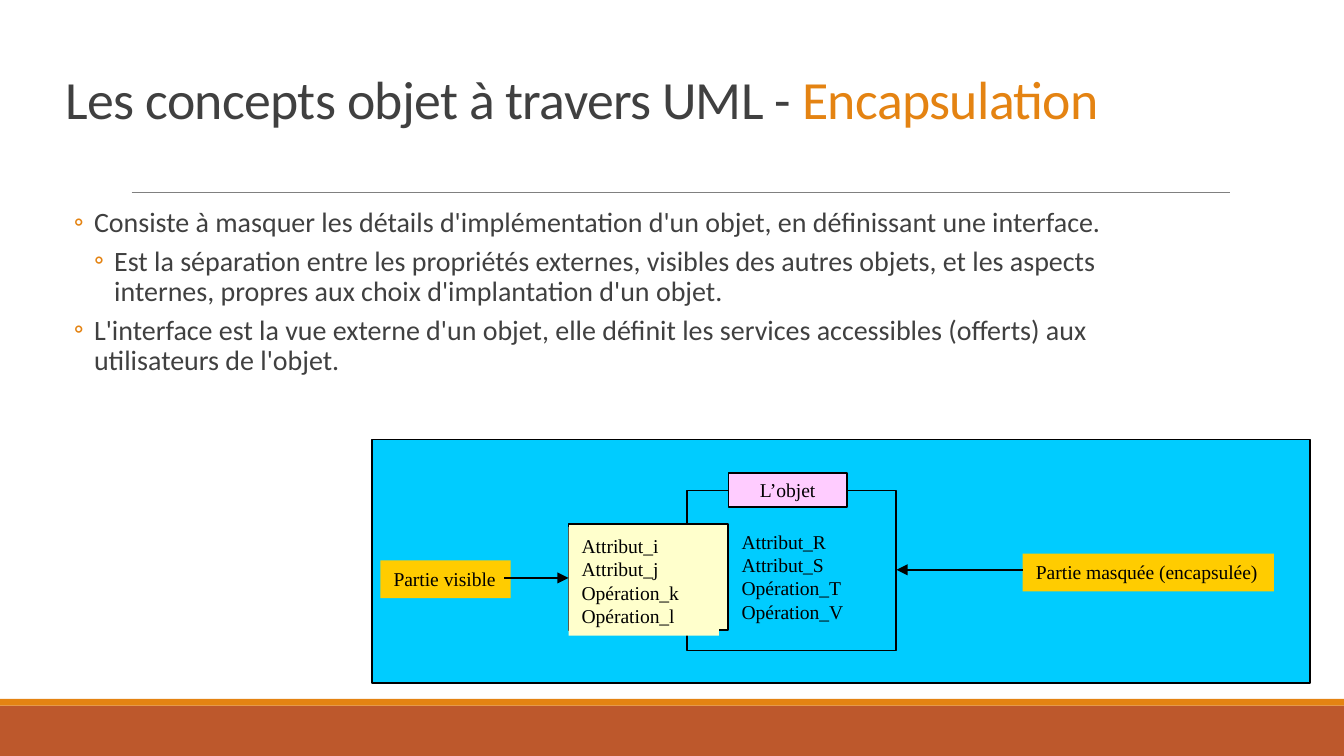
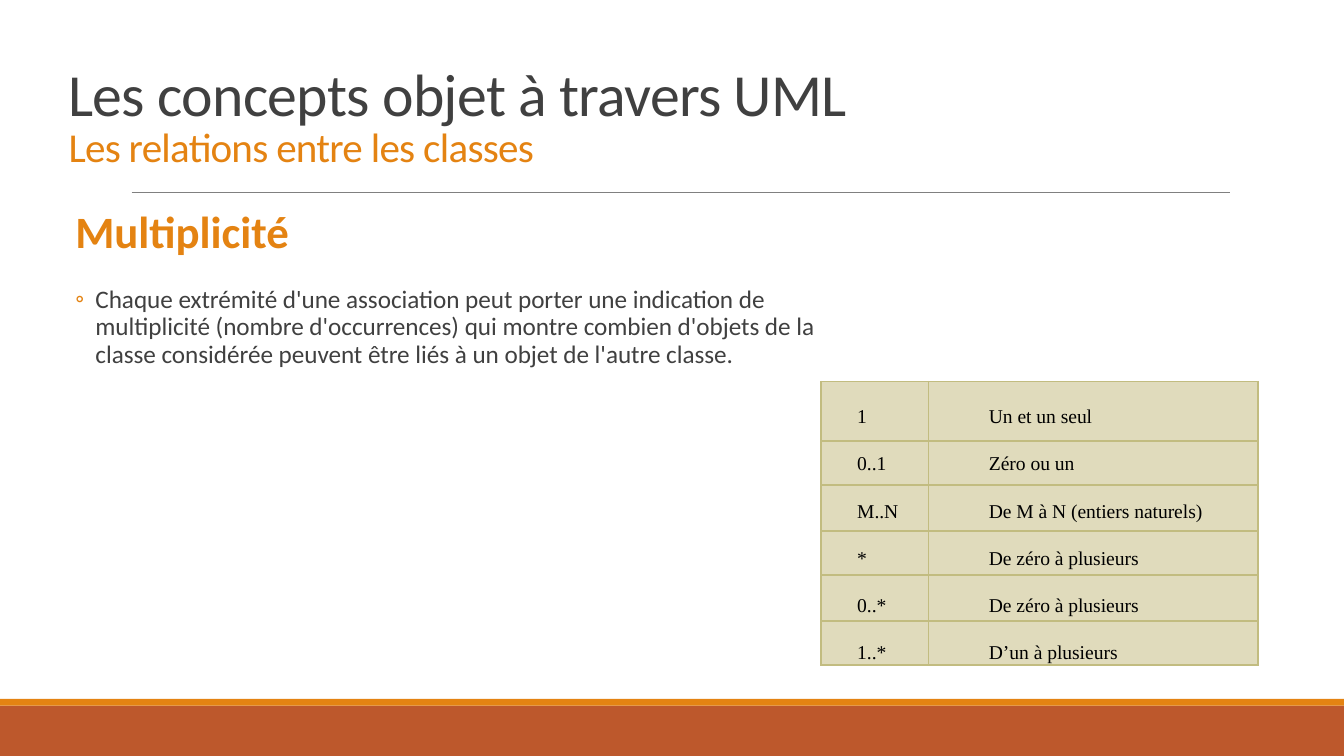
from dataclasses import dataclass

from lxml.etree import SubElement
from pptx import Presentation
from pptx.dml.color import RGBColor
from pptx.enum.shapes import MSO_CONNECTOR, MSO_SHAPE
from pptx.enum.text import MSO_ANCHOR, MSO_AUTO_SIZE, PP_ALIGN
from pptx.oxml.ns import qn
from pptx.util import Inches, Pt

COLOURS = {
    "text": "404040",
    "accent": "E48312",
    "footer": "BD582C",
    "rule": "808080",
    "black": "000000",
    "sky": "00CCFF",
    "cream": "FFFFCC",
    "pink": "FFCCFF",
    "gold": "FFCC00",
    "cell": "E0DBBC",
    "border": "C2BC80",
}
BODY_FONT = "Calibri"
DIAGRAM_FONT = "Times New Roman"
DIAGRAM_SIZE = 10.5


@dataclass(frozen=True)
class Box:
    left: float
    top: float
    width: float
    height: float

    def emu(self) -> tuple:
        return tuple(Inches(v) for v in (self.left, self.top, self.width, self.height))


@dataclass(frozen=True)
class TitlePart:
    text: str
    size: float
    colour: str = "text"


@dataclass(frozen=True)
class Point:
    text: str
    size: float
    level: int = 0
    margin: float = 0.32
    bullet: bool = True
    bold: bool = False
    colour: str = "text"
    before: float = 1.5


@dataclass(frozen=True)
class Panel:
    box: Box
    fill: str | None = None
    outlined: bool = False
    lines: tuple[str, ...] = ()
    centred: bool = False
    wrap: bool = False
    gap: float = 0


@dataclass(frozen=True)
class Arrow:
    start: float
    end: float
    y: float


def rgb(name: str) -> RGBColor:
    return RGBColor.from_string(COLOURS[name])


def style_font(font, name: str, size: float, colour: str, bold: bool = False) -> None:
    font.name = name
    font.size = Pt(size)
    font.bold = bold
    font.color.rgb = rgb(colour)


def draw_line(slide, start: float, end: float, y: float, colour: str, width: float):
    line = slide.shapes.add_connector(
        MSO_CONNECTOR.STRAIGHT, Inches(start), Inches(y), Inches(end), Inches(y)
    )
    line.line.color.rgb = rgb(colour)
    line.line.width = Pt(width)
    SubElement(line._element.spPr, qn("a:effectLst"))
    return line


def draw_arrow(slide, arrow: Arrow) -> None:
    line = draw_line(slide, arrow.start, arrow.end, arrow.y, "black", 1)
    SubElement(line.line._get_or_add_ln(), qn("a:tailEnd"), type="triangle")


def draw_panel(slide, panel: Panel) -> None:
    if panel.fill:
        shape = slide.shapes.add_shape(MSO_SHAPE.RECTANGLE, *panel.box.emu())
        shape.shadow.inherit = False
        shape.fill.solid()
        shape.fill.fore_color.rgb = rgb(panel.fill)
        if panel.outlined:
            shape.line.color.rgb = rgb("black")
            shape.line.width = Pt(1)
        else:
            shape.line.fill.background()
    else:
        shape = slide.shapes.add_textbox(*panel.box.emu())
    if not panel.lines:
        return
    frame = shape.text_frame
    frame.word_wrap = panel.wrap
    frame.vertical_anchor = MSO_ANCHOR.MIDDLE if panel.centred else MSO_ANCHOR.TOP
    frame.text = "\n".join(panel.lines)
    for index, paragraph in enumerate(frame.paragraphs):
        paragraph.alignment = PP_ALIGN.CENTER if panel.centred else PP_ALIGN.LEFT
        if index and panel.gap:
            paragraph.space_before = Pt(panel.gap)
        style_font(paragraph.font, DIAGRAM_FONT, DIAGRAM_SIZE, "black")


def draw_title(slide, box: Box, parts: list[TitlePart], stacked: bool = False) -> None:
    title = slide.shapes.title
    title.left, title.top, title.width, title.height = box.emu()
    frame = title.text_frame
    frame.auto_size = MSO_AUTO_SIZE.NONE
    frame.word_wrap = True
    frame.vertical_anchor = MSO_ANCHOR.BOTTOM
    paragraph = frame.paragraphs[0]
    paragraph.alignment = PP_ALIGN.LEFT
    paragraph.line_spacing = 0.85
    for index, part in enumerate(parts):
        if index and stacked:
            paragraph.add_line_break()
            line_break = paragraph._p.find(qn("a:br"))
            SubElement(line_break, qn("a:rPr"), sz=str(parts[0].size * 100))
        run = paragraph.add_run()
        run.text = part.text
        style_font(run.font, BODY_FONT, part.size, part.colour)
        run._r.get_or_add_rPr().set("spc", "-38")


def draw_points(slide, box: Box, points: list[Point]) -> None:
    frame = slide.shapes.add_textbox(*box.emu()).text_frame
    frame.word_wrap = True
    frame.margin_left = frame.margin_right = 0
    for index, point in enumerate(points):
        paragraph = frame.add_paragraph() if index else frame.paragraphs[0]
        paragraph.text = point.text
        paragraph.level = point.level
        properties = paragraph._p.get_or_add_pPr()
        properties.set("marL", str(Inches(point.margin)))
        properties.set("indent", str(Inches(-0.15 if point.bullet else 0)))
        if point.bullet:
            colour = SubElement(properties, qn("a:buClr"))
            SubElement(colour, qn("a:srgbClr"), val=COLOURS["accent"])
            SubElement(properties, qn("a:buFont"), typeface=BODY_FONT)
            SubElement(properties, qn("a:buChar"), char="◦")
        paragraph.line_spacing = 0.9
        if index:
            paragraph.space_before = Pt(point.before)
        paragraph.space_after = Pt(3)
        style_font(paragraph.font, BODY_FONT, point.size, point.colour, point.bold)


def draw_grid(slide, box: Box, widths: list[float], heights: list[float]) -> None:
    grid = slide.shapes.add_table(len(heights), len(widths), *box.emu()).table
    grid.first_row = grid.horz_banding = False
    for column, width in zip(grid.columns, widths):
        column.width = Inches(width)
    for row, height in zip(grid.rows, heights):
        row.height = Inches(height)
    for cell in grid.iter_cells():
        properties = cell._tc.get_or_add_tcPr()
        for side in ("lnL", "lnR", "lnT", "lnB"):
            border = SubElement(properties, qn(f"a:{side}"), w=str(Pt(1)))
            fill = SubElement(border, qn("a:solidFill"))
            SubElement(fill, qn("a:srgbClr"), val=COLOURS["border"])
        cell.fill.solid()
        cell.fill.fore_color.rgb = rgb("cell")
        cell.text_frame.paragraphs[0].font.size = Pt(DIAGRAM_SIZE)


def new_slide(deck):
    slide = deck.slides.add_slide(deck.slide_layouts[5])
    draw_panel(slide, Panel(Box(0, 5.25, 10, 0.38), "footer"))
    draw_panel(slide, Panel(Box(0, 5.2, 10, 0.05), "accent"))
    draw_line(slide, 0.98, 9.15, 1.43, "rule", 0.5)
    return slide


def build_encapsulation(deck) -> None:
    slide = new_slide(deck)
    draw_points(slide, Box(0.38, 1.5, 8.34, 1.58), [
        Point("Consiste à masquer les détails d'implémentation d'un objet, "
              "en définissant une interface.", 15),
        Point("Est la séparation entre les propriétés externes, visibles des autres objets, "
              "et les aspects internes, propres aux choix d'implantation d'un objet.",
              15, level=1, margin=0.47),
        Point("L'interface est la vue externe d'un objet, elle définit les services "
              "accessibles (offerts) aux utilisateurs de l'objet.", 15),
    ])
    draw_title(slide, Box(0.39, 0.39, 8.57, 0.63), [
        TitlePart("Les concepts objet à travers UML - ", 28.8),
        TitlePart("Encapsulation", 28.8, "accent"),
    ])
    visible_members = ("Attribut_i", "Attribut_j", "Opération_k", "Opération_l")
    hidden_members = ("Attribut_R", "Attribut_S", "Opération_T", "Opération_V")
    for panel in (
        Panel(Box(2.77, 3.27, 6.98, 1.81), "sky", outlined=True),
        Panel(Box(5.11, 3.65, 1.56, 1.19), "sky", outlined=True),
        Panel(Box(4.23, 3.9, 1.19, 0.79), "cream", outlined=True),
        Panel(Box(5.42, 3.52, 0.88, 0.25), "pink", outlined=True,
              lines=("L’objet",), centred=True),
        Panel(Box(2.83, 4.17, 0.97, 0.28), "gold", lines=("Partie visible",)),
        Panel(Box(7.61, 4.12, 1.87, 0.28), "gold", lines=("Partie masquée (encapsulée)",)),
        Panel(Box(4.23, 3.92, 1.12, 0.81), "cream", lines=visible_members, wrap=True),
        Panel(Box(5.42, 3.89, 0.97, 0.98), lines=hidden_members),
    ):
        draw_panel(slide, panel)
    for arrow in (Arrow(3.75, 4.23, 4.3), Arrow(7.61, 6.67, 4.24)):
        draw_arrow(slide, arrow)


def build_multiplicity(deck) -> None:
    slide = new_slide(deck)
    draw_title(slide, Box(0.41, 0.41, 8.57, 0.91), [
        TitlePart("Les concepts objet à travers UML", 32),
        TitlePart("Les relations entre les classes", 22, "accent"),
    ], stacked=True)
    draw_points(slide, Box(0.24, 1.51, 6.02, 3.55), [
        Point("Multiplicité", 24, level=1, bullet=False, bold=True, colour="accent"),
        Point("Chaque extrémité d'une association peut porter une indication de "
              "multiplicité (nombre d'occurrences) qui montre combien d'objets de la "
              "classe considérée peuvent être liés à un objet de l'autre classe.",
              13.5, level=1, margin=0.47, before=12.6),
    ])
    draw_grid(slide, Box(6.11, 2.84, 3.25, 2.11), [0.8, 2.45],
              [0.44, 0.33, 0.34, 0.33, 0.34, 0.33])
    multiplicities = (
        ("1", "Un et un seul"),
        ("0..1", "Zéro ou un"),
        ("M..N", "De M à N (entiers naturels)"),
        ("*", "De zéro à plusieurs"),
        ("0..*", "De zéro à plusieurs"),
        ("1..*", "D’un à plusieurs"),
    )
    notations, meanings = zip(*multiplicities)
    draw_panel(slide, Panel(Box(6.28, 2.96, 0.51, 2.04), lines=notations, gap=12.6))
    draw_panel(slide, Panel(Box(7.26, 2.96, 1.81, 2.04), lines=meanings, gap=12.6))


def main() -> None:
    deck = Presentation()
    deck.slide_width, deck.slide_height = Inches(10), Inches(10 * 9 / 16)
    build_encapsulation(deck)
    build_multiplicity(deck)
    deck.save("out.pptx")


if __name__ == "__main__":
    main()
